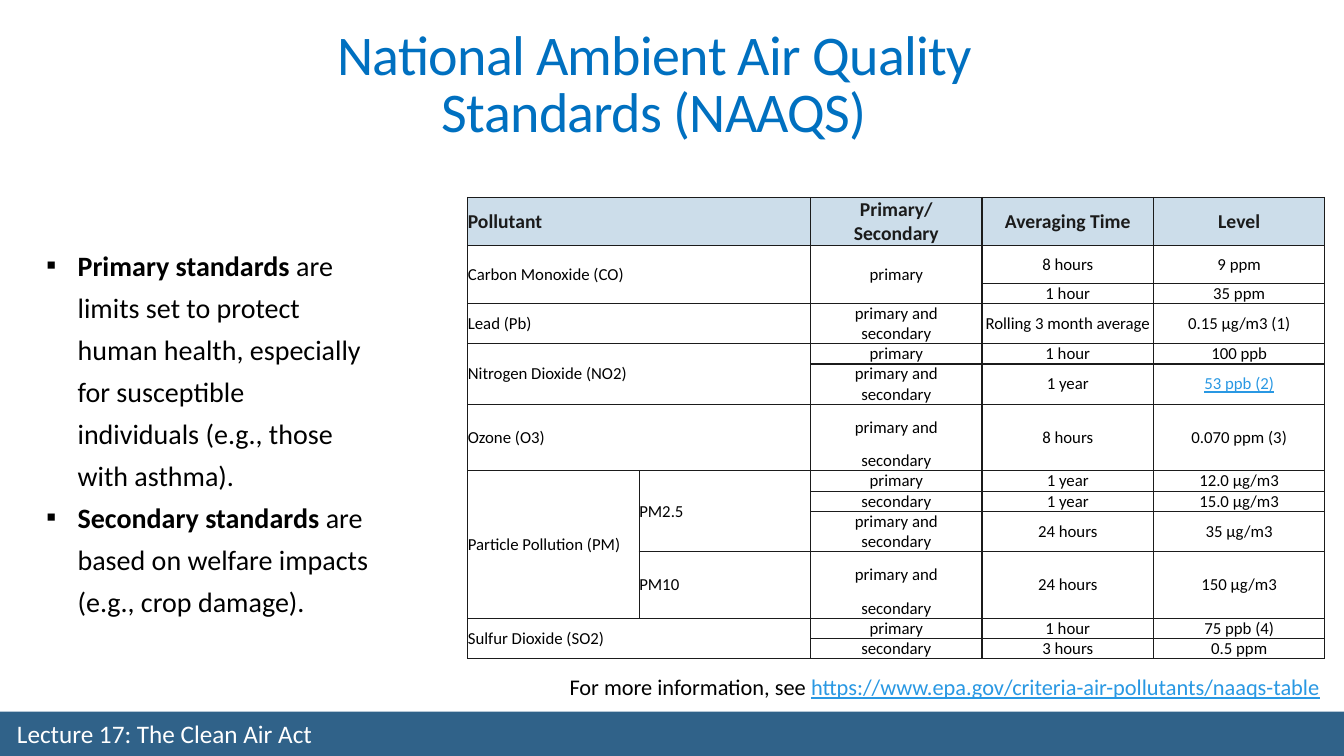
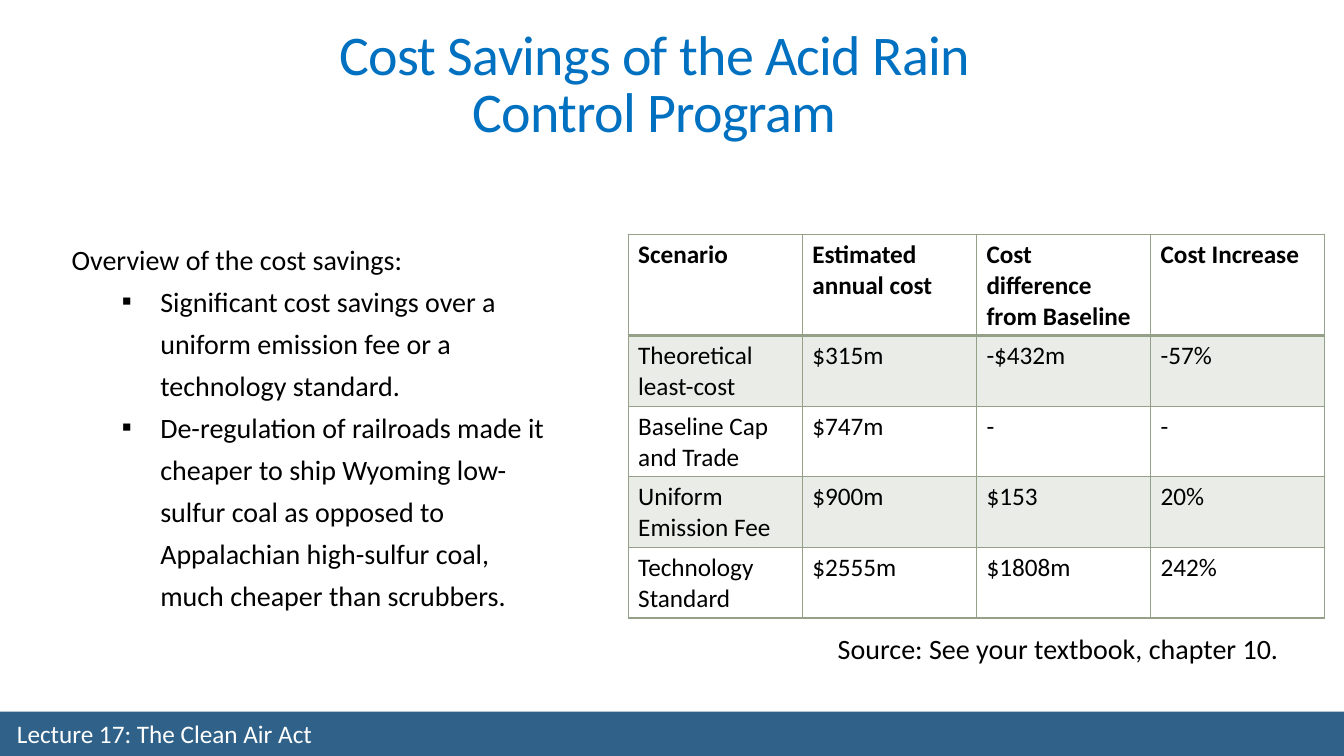
"""Build two lecture slides on air quality standards and acid rain control costs."""
from lxml import etree as xml
from pptx import Presentation
from pptx import util as u
from pptx.dml.color import RGBColor
from pptx.enum import shapes, text
from pptx.oxml.ns import qn

HUE = {"band": "306289", "title": "0070C0", "link": "2998E3", "ink": "000000", "dark": "1B1B1B",
       "head": "CCDDEA", "white": "FFFFFF", "sage": "94A088"}
PLAIN = "{2D5ABB26-0587-4C30-8999-92F81FD0307C}"
MID = text.MSO_ANCHOR.MIDDLE
CENTER = text.PP_ALIGN.CENTER


def write(para, runs, size, hue="ink", space=None, hang=None, align=None):
    """Fill a paragraph with runs of (words, style), where style is "", "bold" or "link"."""
    para.alignment = align
    para.space_before = u.Pt(0)
    if space:
        para.line_spacing = space
    left, back = hang or (0, 0)
    props = para._p.get_or_add_pPr()
    props.set("marL", str(u.Inches(left)))
    props.set("indent", str(u.Inches(back)))
    if hang:
        xml.SubElement(props, qn("a:buFont"), typeface="Calibri")
        xml.SubElement(props, qn("a:buChar"), char="▪")
    else:
        xml.SubElement(props, qn("a:buNone"))
    for words, style in runs:
        run = para.add_run()
        run.text = words
        run.font.name = "Calibri"
        run.font.size = u.Pt(size)
        run.font.bold = style == "bold"
        run.font.underline = style == "link"
        run.font.color.rgb = RGBColor.from_string(HUE["link" if style == "link" else hue])


def edge(cell, hue, sides):
    """Draw borders, with sides mapping a letter to a width in points."""
    props = cell._tc.get_or_add_tcPr()
    for side, width in sides.items():
        line = xml.SubElement(props, qn("a:ln" + side), w=str(u.Pt(width)))
        fill = xml.SubElement(line, qn("a:solidFill" if width else "a:noFill"))
        if width:
            xml.SubElement(fill, qn("a:srgbClr"), val=HUE[hue])


deck = Presentation()
deck.slide_width, deck.slide_height = u.Inches(13.33), u.Inches(7.5)
base = deck.slide_layouts[1]
head = base.placeholders[0]
head.left, head.top, head.width, head.height = map(u.Inches, (2.54, 0.17, 7.9, 1.31))
head.text_frame.vertical_anchor = text.MSO_ANCHOR.BOTTOM

BODY = [
    ("National Ambient Air Quality Standards (NAAQS)", (0.36, 2.33, 3.41, 3.86), [
        (0, (0.31, -0.31), [
            ("Primary standards ", "bold"),
            ("are limits set to protect human health, especially for susceptible individuals "
             "(e.g., those with asthma).", "")]),
        (0, (0.31, -0.31), [
            ("Secondary standards ", "bold"),
            ("are based on welfare impacts (e.g., crop damage).", "")])],
     (5.55, 6.56, 7.75, 0.41), 16, [
        ("For more information, see ", ""),
        ("https://www.epa.gov/criteria-air-pollutants/naaqs-table", "link")]),
    ("Cost Savings of the Acid Rain Control Program", (0.61, 2.27, 5.03, 3.86), [
        (0, None, [("Overview of the cost savings:", "")]),
        (1, (0.88, -0.38), [
            ("Significant cost savings over a uniform emission fee or a technology standard.", "")]),
        (1, (0.88, -0.38), [
            ("De-regulation of railroads made it cheaper to ship Wyoming low-sulfur coal as opposed "
             "to Appalachian high-sulfur coal, much cheaper than scrubbers.", "")])],
     (8.21, 6.13, 4.78, 0.49), 20, [("Source: See your textbook, chapter 10.", "")]),
]

pages = []
for name, box, items, spot, size, note in BODY:
    page = deck.slides.add_slide(base)
    pages.append(page)
    title, body = page.placeholders
    title.text_frame.auto_size = text.MSO_AUTO_SIZE.NONE
    write(title.text_frame.paragraphs[0], [(name, "")], 40, "title", 0.85, align=CENTER)
    title.text_frame.paragraphs[0].runs[0].font._element.set("spc", "-50")

    body.left, body.top, body.width, body.height = map(u.Inches, box)
    frame = body.text_frame
    frame.auto_size = text.MSO_AUTO_SIZE.NONE
    for i, (level, hang, runs) in enumerate(items):
        para = frame.add_paragraph() if i else frame.paragraphs[0]
        para.level = level
        write(para, runs, 20, space=1.25, hang=hang)

    frame = page.shapes.add_textbox(*map(u.Inches, spot)).text_frame
    frame.word_wrap = True
    write(frame.paragraphs[0], note, size, space=1.25)

band = pages[0].shapes.add_shape(shapes.MSO_SHAPE.RECTANGLE, *map(u.Inches, (0, 7.06, 13.33, 0.44)))
band.shadow.inherit = False
band.fill.solid()
band.fill.fore_color.rgb = RGBColor.from_string(HUE["band"])
band.line.fill.background()
foot = pages[0].shapes.add_textbox(*map(u.Inches, (0.07, 7.12, 6.6, 0.32)))
foot.text_frame.word_wrap = True
foot.text_frame.vertical_anchor = MID
write(foot.text_frame.paragraphs[0], [("Lecture 17: The Clean Air Act", "")], 18, "white")
for part in (band, foot):
    base.shapes.element.append(part._element)

LIMITS = [
    ("Pollutant", "", "Primary/", "Averaging Time", "Level"),
    ("", "", "Secondary", "", ""),
    ("Carbon Monoxide (CO)", "", "primary", "8 hours", "9 ppm"),
    ("", "", "", "1 hour", "35 ppm"),
    ("Lead (Pb)", "", "primary and", "Rolling 3 month average", "0.15 μg/m3 (1)"),
    ("", "", "secondary", "", ""),
    ("Nitrogen Dioxide (NO2)", "", "primary", "1 hour", "100 ppb"),
    ("", "", "primary and", "1 year", "53 ppb (2)"),
    ("", "", "secondary", "", ""),
    ("Ozone (O3)", "", "primary and", "8 hours", "0.070 ppm (3)"),
    ("", "", "secondary", "", ""),
    ("Particle Pollution (PM)", "PM2.5", "primary", "1 year", "12.0 μg/m3"),
    ("", "", "secondary", "1 year", "15.0 μg/m3"),
    ("", "", "primary and", "24 hours", "35 μg/m3"),
    ("", "", "secondary", "", ""),
    ("", "PM10", "primary and", "24 hours", "150 μg/m3"),
    ("", "", "secondary", "", ""),
    ("Sulfur Dioxide (SO2)", "", "primary", "1 hour", "75 ppb (4)"),
    ("", "", "secondary", "3 hours", "0.5 ppm"),
]
TALL = {0: 0.24, 1: 0.24, 2: 0.37, 9: 0.46, 15: 0.46}
SPANS = [(0, 0, 2, 2), (2, 0, 2, 2), (2, 2, 2, 1), (4, 0, 2, 2), (6, 0, 3, 2), (9, 0, 2, 2),
         (11, 0, 6, 1), (11, 1, 4, 1), (15, 1, 2, 1), (17, 0, 2, 2)]
split = [r for r, row in enumerate(LIMITS) if row[2] in ("Primary/", "primary and")]
SPANS += [(r, c, 2, 1) for r in split for c in (3, 4)]

COSTS = [
    ("Scenario", "Estimated annual cost", "Cost difference from Baseline", "Cost Increase"),
    ("Theoretical least-cost", "$315m", "-$432m", "-57%"),
    ("Baseline Cap and Trade", "$747m", "-", "-"),
    ("Uniform Emission Fee", "$900m", "$153", "20%"),
    ("Technology Standard", "$2555m", "$1808m", "242%"),
]

grids = []
for page, rows, box in ((pages[0], LIMITS, (4.64, 1.96, 8.5, 4.6)),
                        (pages[1], COSTS, (6.23, 2.33, 6.91, 3.8))):
    grid = page.shapes.add_table(len(rows), len(rows[0]), *map(u.Inches, box)).table
    grid._tbl.tblPr.find(qn("a:tableStyleId")).text = PLAIN
    grids.append(grid)
limits, costs = grids

for r, c, high, wide in SPANS:
    limits.cell(r, c).merge(limits.cell(r + high - 1, c + wide - 1))
for r, row in enumerate(LIMITS):
    limits.rows[r].height = u.Inches(TALL.get(r, 0.2))
    top = r < 2
    for c, words in enumerate(row):
        cell = limits.cell(r, c)
        cell.margin_left = cell.margin_right = cell.margin_top = cell.margin_bottom = 0
        cell.vertical_anchor = MID
        edge(cell, "dark", {"L": 1, "R": 1, "T": 0 if c == 2 and r - 1 in split else 1,
                            "B": 0 if c == 2 and r in split else 1})
        cell.fill.solid()
        cell.fill.fore_color.rgb = RGBColor.from_string(HUE["head" if top else "white"])
        para = cell.text_frame.paragraphs[0]
        if words:
            style = "bold" if top else "link" if words.startswith("53") else ""
            write(para, [(words, style)], 14 if top else 12, "dark" if top else "ink",
                  align=CENTER if c > 1 else None)
        else:
            xml.SubElement(para._p, qn("a:endParaRPr"), sz="1200")

for r, row in enumerate(COSTS):
    costs.rows[r].height = u.Inches(0.7 if r else 1)
    for c, words in enumerate(row):
        cell = costs.cell(r, c)
        edge(cell, "sage", {"L": 1, "R": 1, "T": 2 if r == 1 else 1, "B": 1 if r else 2})
        if r % 2:
            cell.fill.solid()
            cell.fill.fore_color.rgb = RGBColor.from_string(HUE["sage"])
            tint = cell._tc.tcPr.find(qn("a:solidFill")).find(qn("a:srgbClr"))
            xml.SubElement(tint, qn("a:alpha"), val="20000")
        else:
            cell.fill.background()
        write(cell.text_frame.paragraphs[0], [(words, "" if r else "bold")], 18)

deck.save("out.pptx")
